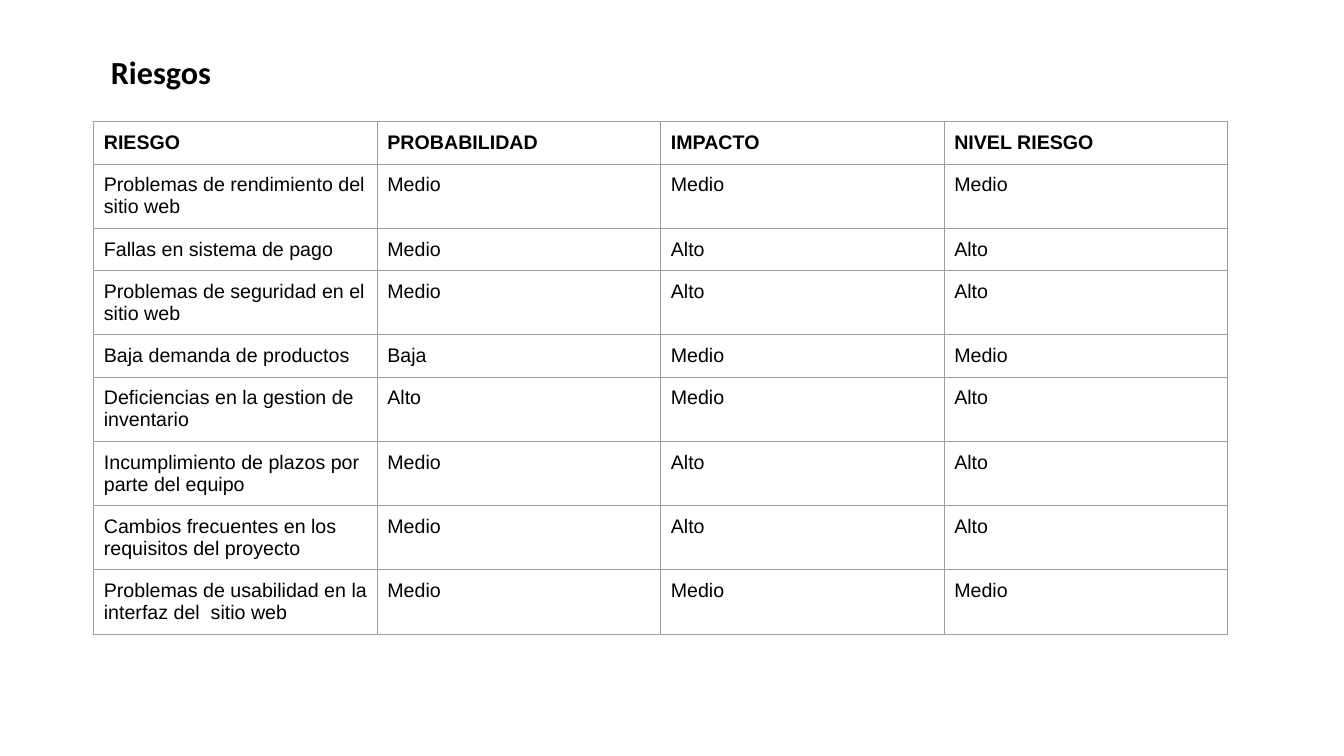
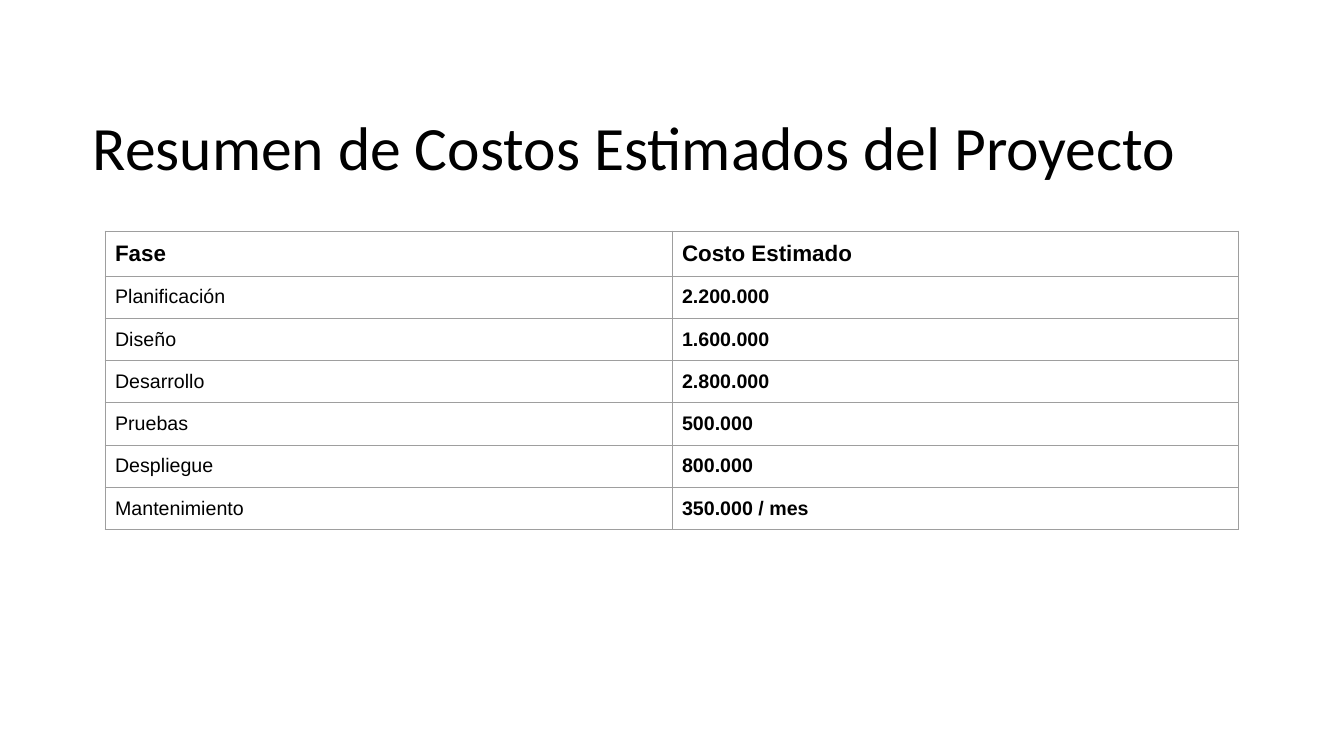
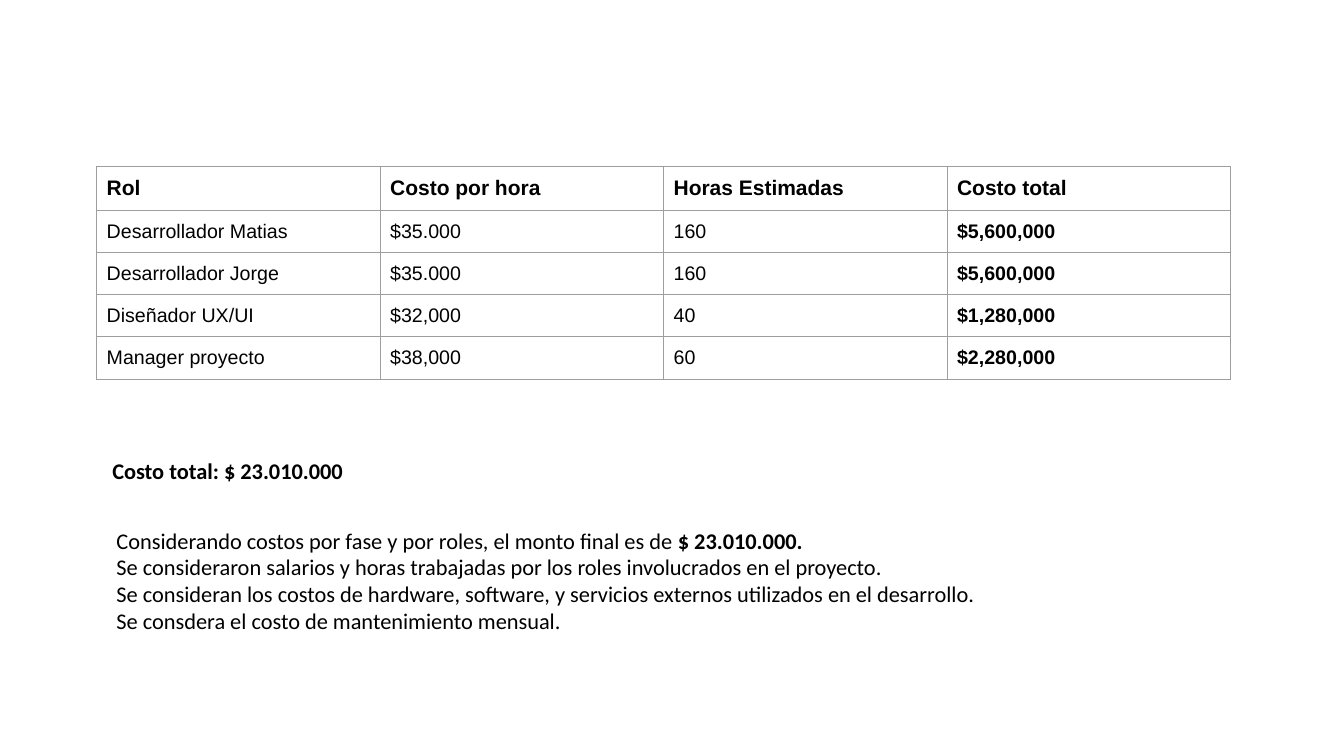
"""Build three slides on project risks and costs."""
from lxml.etree import SubElement
from pptx import Presentation
from pptx.dml.color import RGBColor
from pptx.enum.text import MSO_ANCHOR as Anchor, MSO_AUTO_SIZE as AutoSize, PP_ALIGN as Align
from pptx.oxml import parse_xml
from pptx.oxml.ns import nsdecls, qn
from pptx.util import Pt

BLACK, GREY = "000000", "9E9E9E"
TITLE_FONT, TABLE_FONT = "Calibri", "Arial"
TABLE_WIDTH, ROW_HEIGHT, INSET = 810, 30, 7.2
TITLE_AND_BODY, TITLE_ONLY = 1, 5

RISKS = [
    ("RIESGO", "PROBABILIDAD", "IMPACTO", "NIVEL RIESGO"),
    ("Problemas de rendimiento del sitio web", "Medio", "Medio", "Medio"),
    ("Fallas en sistema de pago", "Medio", "Alto", "Alto"),
    ("Problemas de seguridad en el sitio web", "Medio", "Alto", "Alto"),
    ("Baja demanda de productos", "Baja", "Medio", "Medio"),
    ("Deficiencias en la gestion de inventario", "Alto", "Medio", "Alto"),
    ("Incumplimiento de plazos por parte del equipo", "Medio", "Alto", "Alto"),
    ("Cambios frecuentes en los requisitos del proyecto", "Medio", "Alto", "Alto"),
    ("Problemas de usabilidad en la interfaz del  sitio web", "Medio", "Medio", "Medio"),
]
PHASES = [
    ("Fase", "Costo Estimado"),
    ("Planificación", "2.200.000"),
    ("Diseño", "1.600.000"),
    ("Desarrollo", "2.800.000"),
    ("Pruebas", "500.000"),
    ("Despliegue", "800.000"),
    ("Mantenimiento", "350.000 / mes"),
]
ROLES = [
    ("Rol", "Costo por hora", "Horas Estimadas", "Costo total"),
    ("Desarrollador Matias", "$35.000", "160", "$5,600,000"),
    ("Desarrollador Jorge", "$35.000", "160", "$5,600,000"),
    ("Diseñador UX/UI", "$32,000", "40", "$1,280,000"),
    ("Manager proyecto", "$38,000", "60", "$2,280,000"),
]
FINAL_AMOUNT = "$ 23.010.000."
NOTES = [
    "Considerando costos por fase y por roles, el monto final es de ",
    "Se consideraron salarios y horas trabajadas por los roles involucrados en el proyecto.",
    "Se consideran los costos de hardware, software, y servicios externos utilizados en el desarrollo.",
    "Se consdera el costo de mantenimiento mensual.",
]


def color(value):
    return RGBColor.from_string(value)


def format_run(run, font, size, bold=False):
    run.font.name, run.font.size, run.font.bold = font, Pt(size), bold
    run.font.color.rgb = color(BLACK)


def place_text(shape, box, lines, size, bold=False, anchor=Anchor.TOP, inset=INSET, spacing=1.0):
    shape.left, shape.top, shape.width, shape.height = map(Pt, box)
    frame = shape.text_frame
    frame.text = "\n".join(lines)
    frame.word_wrap, frame.auto_size, frame.vertical_anchor = True, AutoSize.NONE, anchor
    frame.margin_left = frame.margin_right = Pt(INSET)
    frame.margin_top = frame.margin_bottom = Pt(inset)
    for paragraph in frame.paragraphs:
        paragraph.alignment, paragraph.line_spacing = Align.LEFT, spacing
        paragraph.space_before = paragraph.space_after = Pt(0)
        properties = paragraph._p.get_or_add_pPr()
        properties.set("marL", "0")
        properties.set("indent", "0")
        SubElement(properties, qn("a:buNone"))
        for run in paragraph.runs:
            format_run(run, TITLE_FONT, size, bold)


def add_borders(cell):
    properties = cell._tc.get_or_add_tcPr()
    for index, side in enumerate("LRTB"):
        properties.insert(index, parse_xml(
            f'<a:ln{side} {nsdecls("a")} w="{Pt(0.75)}"><a:solidFill>'
            f'<a:srgbClr val="{GREY}"/></a:solidFill></a:ln{side}>'))


def add_grid(slide, left, top, rows, header_size=14, bold_last=False):
    columns = len(rows[0])
    table = slide.shapes.add_table(len(rows), columns, Pt(left), Pt(top), Pt(TABLE_WIDTH),
                                   Pt(ROW_HEIGHT * len(rows))).table
    table.first_row = table.horz_banding = False
    for column in table.columns:
        column.width = Pt(TABLE_WIDTH / columns)
    for row_index, row in enumerate(rows):
        for column_index, text in enumerate(row):
            cell = table.cell(row_index, column_index)
            cell.text = text
            cell.margin_left = cell.margin_right = Pt(INSET)
            cell.margin_top = cell.margin_bottom = Pt(INSET)
            cell.fill.background()
            add_borders(cell)
            header = row_index == 0
            bold = header or (bold_last and column_index == columns - 1)
            format_run(cell.text_frame.paragraphs[0].runs[0], TABLE_FONT,
                       header_size if header else 14, bold)


def add_slide(presentation, layout):
    return presentation.slides.add_slide(presentation.slide_layouts[layout])


def main():
    presentation = Presentation()
    presentation.slide_width, presentation.slide_height = Pt(960), Pt(540)

    risks = add_slide(presentation, TITLE_ONLY)
    place_text(risks.shapes.title, (72, 30, 225, 42.5), ["Riesgos"], 23, bold=True)
    add_grid(risks, 67, 87, RISKS)

    phases = add_slide(presentation, TITLE_ONLY)
    place_text(phases.shapes.title, (59, 55.5, 828, 104.5),
               ["Resumen de Costos Estimados del Proyecto"], 44,
               anchor=Anchor.MIDDLE, inset=3.6, spacing=0.9)
    add_grid(phases, 75, 165, PHASES, header_size=16, bold_last=True)

    roles = add_slide(presentation, TITLE_AND_BODY)
    add_grid(roles, 69, 119, ROLES, header_size=15, bold_last=True)
    place_text(roles.shapes.title, (73, 319, 318, 34), ["Costo total: $ 23.010.000"], 16, bold=True)
    body = roles.placeholders[1]
    place_text(body, (76, 369, 750, 92), NOTES, 16)
    amount = body.text_frame.paragraphs[0].add_run()
    amount.text = FINAL_AMOUNT
    format_run(amount, TITLE_FONT, 16, bold=True)

    presentation.save("out.pptx")


if __name__ == "__main__":
    main()
